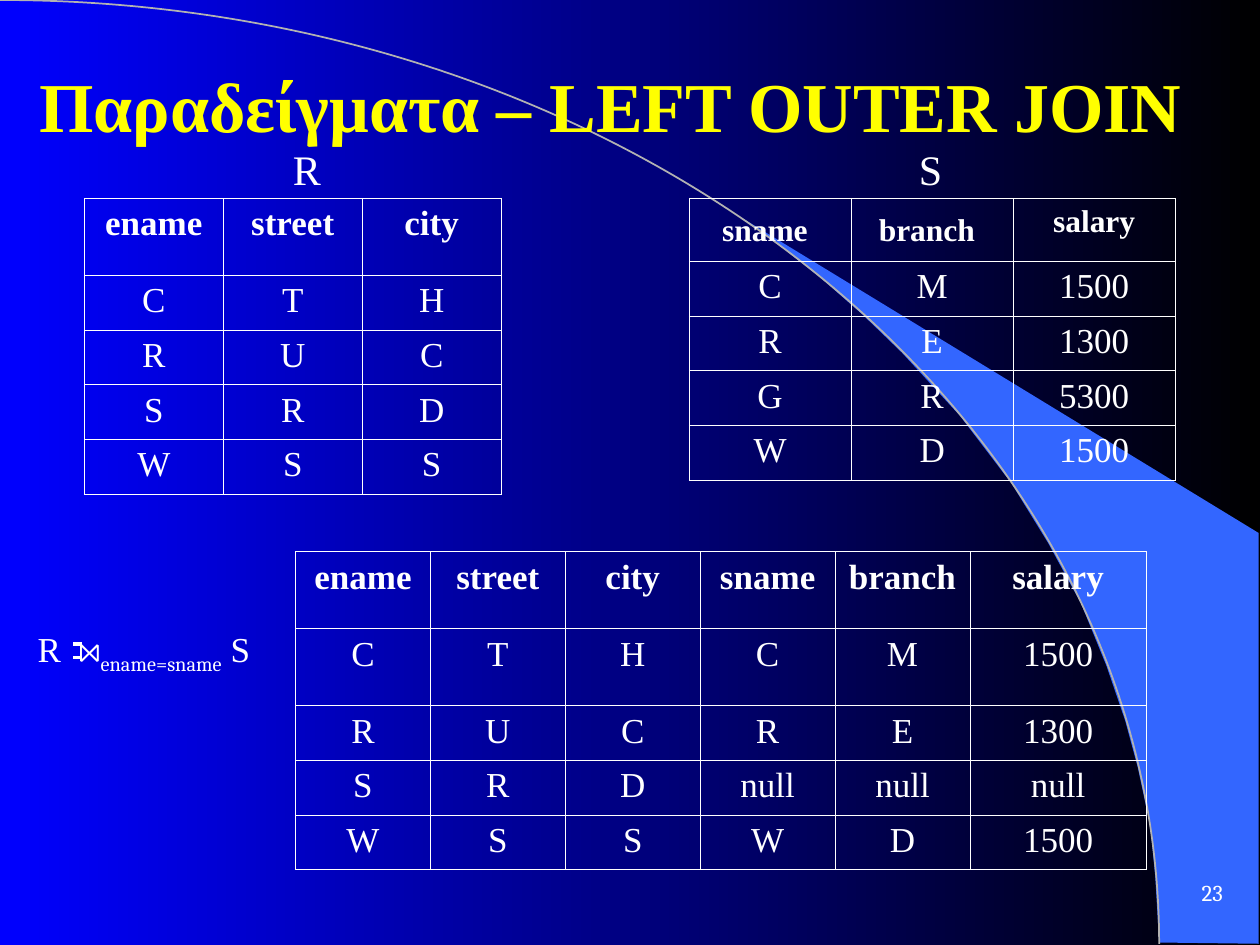
from lxml import etree
from pptx import Presentation
from pptx.dml.color import RGBColor
from pptx.enum import shapes, text
from pptx.oxml.ns import qn
from pptx.util import Pt

WHITE = RGBColor(0xFF, 0xFF, 0xFF)
YELLOW = RGBColor(0xFF, 0xFF, 0x00)
BLUE = RGBColor(0x00, 0x00, 0xFF)
BLACK = RGBColor(0x00, 0x00, 0x00)
SWEEP_BLUE = RGBColor(0x33, 0x66, 0xFF)
ARC_GREY = RGBColor(0xB2, 0xB2, 0xB2)

SERIF = "Times New Roman"
CAMBRIA = "Cambria"
CENTER = text.PP_ALIGN.CENTER

SWEEP = [(662.4, 538.6), (719.3, 539.3), (719.3, 304.6), (424.1, 124.6),
         (449.3, 143.3), (470.2, 159.8), (493.2, 180), (515.5, 201.6),
         (548.6, 237.6), (578.2, 276.5), (599, 310.3), (617.8, 344.9),
         (632.2, 380.2), (643, 411.8), (650.2, 438.5), (657.4, 472.3),
         (660.2, 501.1)]
ARC_CURVE = [(365.8, 0), (662.4, 241.2), (662.4, 539.3)]

R_ROWS = ["ename street city", "C T H", "R U C", "S R D", "W S S"]
S_ROWS = ["sname branch salary", "C M 1500", "R E 1300", "G R 5300", "W D 1500"]
JOIN_ROWS = ["ename street city sname branch salary", "C T H C M 1500",
             "R U C R E 1300", "S R D null null null", "W S S W D 1500"]
ROW_H = 31.2


def set_background(s):
    fill = s.background.fill
    fill.gradient()
    fill.gradient_angle = 0
    for stop, color in zip(fill.gradient_stops, (BLUE, BLACK)):
        stop.color.rgb = color


def add_outline(s, points, close):
    pts = [(Pt(x), Pt(y)) for x, y in points]
    builder = s.shapes.build_freeform(*pts[0])
    builder.add_line_segments(pts[1:], close=close)
    sp = builder.convert_to_shape()
    sp.shadow.inherit = False
    return sp


def add_sweep(s):
    sp = add_outline(s, SWEEP, True)
    sp.fill.solid()
    sp.fill.fore_color.rgb = SWEEP_BLUE
    sp.line.fill.background()


def add_arc(s):
    """Draw a line from the slide's corner and bend it into a Bezier curve."""
    sp = add_outline(s, [(0, 0), ARC_CURVE[-1]], False)
    sp.fill.background()
    sp.line.color.rgb = ARC_GREY
    sp.line.width = Pt(1)
    segment = next(sp._element.iter(qn("a:lnTo")))
    curve = etree.Element(qn("a:cubicBezTo"))
    for x, y in ARC_CURVE:
        etree.SubElement(curve, qn("a:pt"), x=str(Pt(x)), y=str(Pt(y)))
    segment.getparent().replace(segment, curve)


def add_run(p, content, size, color=WHITE, font=SERIF, bold=False):
    r = p.add_run()
    r.text = content
    r.font.size = Pt(size)
    r.font.name = font
    r.font.bold = bold
    r.font.color.rgb = color
    return r


def add_text_box(s, x, y, w, h, align, anchor=text.MSO_ANCHOR.TOP):
    """Add an empty text box and return its first paragraph."""
    tf = s.shapes.add_textbox(Pt(x), Pt(y), Pt(w), Pt(h)).text_frame
    tf.word_wrap = True
    tf.vertical_anchor = anchor
    p = tf.paragraphs[0]
    p.alignment = align
    return p


def add_borders(cell):
    props = cell._tc.get_or_add_tcPr()
    for i, side in enumerate(("lnL", "lnR", "lnT", "lnB")):
        ln = etree.Element(qn(f"a:{side}"), w=str(Pt(0.45)))
        fill = etree.SubElement(ln, qn("a:solidFill"))
        etree.SubElement(fill, qn("a:srgbClr"), val=str(WHITE))
        props.insert(i, ln)


def add_relation(s, x, y, widths, heights, rows, header_size=20):
    """Add a bordered table and return it."""
    table = s.shapes.add_table(len(rows), len(widths), Pt(x), Pt(y),
                               Pt(sum(widths)), Pt(sum(heights))).table
    table.first_row = table.horz_banding = False
    for column, width in zip(table.columns, widths):
        column.width = Pt(width)
    for i, (height, row) in enumerate(zip(heights, rows)):
        table.rows[i].height = Pt(height)
        for j, value in enumerate(row.split()):
            cell = table.cell(i, j)
            cell.fill.background()
            add_borders(cell)
            p = cell.text_frame.paragraphs[0]
            p.alignment = CENTER
            add_run(p, value, 20 if i else header_size, bold=i == 0)
    return table


def add_join_expression(s):
    p = add_text_box(s, 14.4, 355, 164, 34.6, text.PP_ALIGN.LEFT)
    relation = add_run(p, "R ", 20)
    relation.font._element.set("spc", "250")
    add_run(p, "⋈", 20, font=CAMBRIA)
    condition = add_run(p, "ename=sname", 20, font=CAMBRIA)
    condition.font._element.set("baseline", "-25000")
    add_run(p, " S", 20)
    for y in (367.9, 375.8):
        add_outer_bar(s, 46.8, 41.8, y)


def add_outer_bar(s, x1, x2, y):
    line = s.shapes.add_connector(shapes.MSO_CONNECTOR.STRAIGHT,
                                  Pt(x1), Pt(y), Pt(x2), Pt(y))
    line.line.color.rgb = WHITE
    line.line.width = Pt(2)
    etree.SubElement(line._element.spPr, qn("a:effectLst"))


def main():
    prs = Presentation()
    prs.slide_width, prs.slide_height = Pt(720), Pt(540)
    s = prs.slides.add_slide(prs.slide_layouts[6])
    set_background(s)
    add_sweep(s)
    add_arc(s)

    middle = text.MSO_ANCHOR.MIDDLE
    number = add_text_box(s, 665.3, 491.8, 40.6, 36, text.PP_ALIGN.RIGHT, middle)
    add_run(number, "23", 13, font=CAMBRIA)
    title = add_text_box(s, 11.5, 33, 674.6, 53, CENTER, middle)
    add_run(title, "Παραδείγματα – LEFT OUTER JOIN", 40, YELLOW, bold=True)

    for name, x, w in (("R", 121, 108.7), ("S", 450.7, 162)):
        add_run(add_text_box(s, x, 78.5, w, 36, CENTER), name, 24)

    add_relation(s, 48.2, 113.3, [79.4] * 3, [44] + [ROW_H] * 4, R_ROWS)
    staff = add_relation(s, 393.8, 113.3, [92.6] * 3, [36] + [ROW_H] * 4,
                         S_ROWS, header_size=18)
    for j in range(2):
        add_run(staff.cell(0, j).text_frame.paragraphs[0], " ", 24)
    add_relation(s, 168.9, 315.2, [77.1] * 5 + [100.8],
                 [44] * 2 + [ROW_H] * 3, JOIN_ROWS)
    add_join_expression(s)
    prs.save("out.pptx")


if __name__ == "__main__":
    main()
